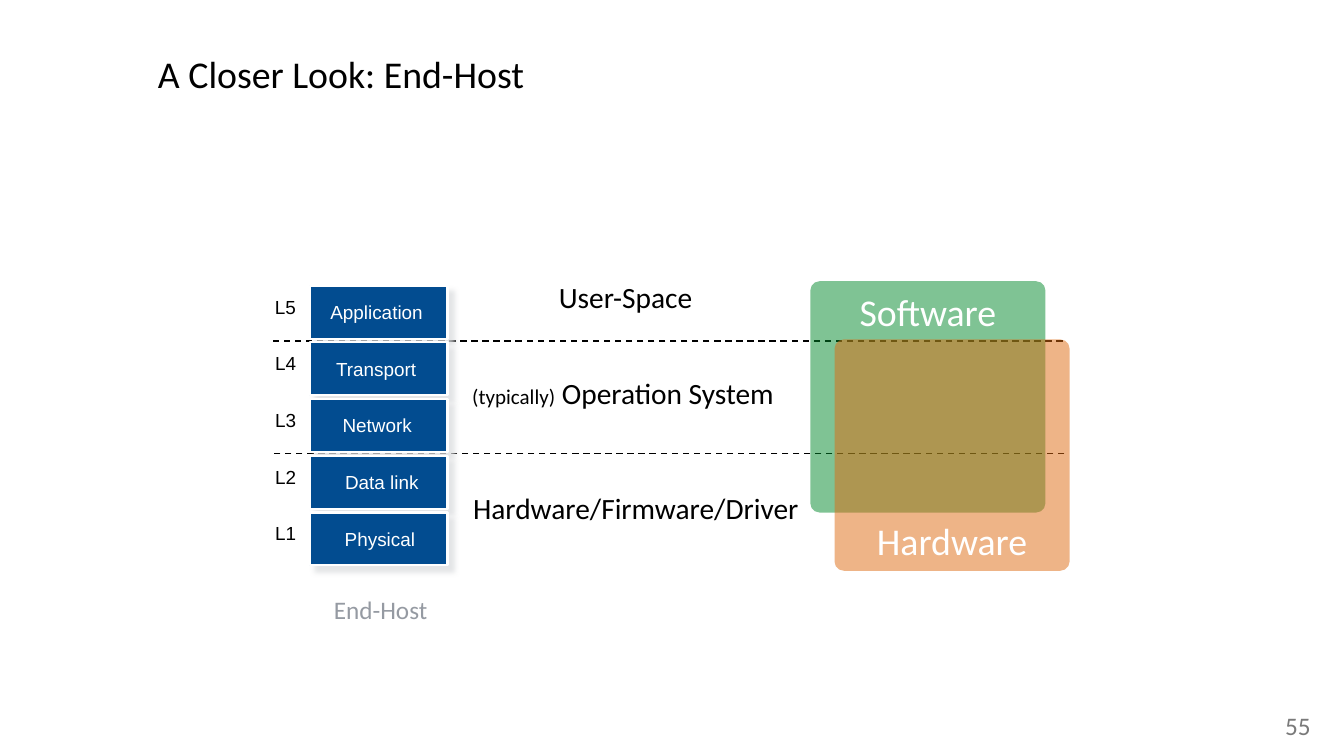
import pptx
import pptx.util
import pptx.dml.color
import pptx.enum.dml
import pptx.enum.shapes
import pptx.enum.text
import pptx.oxml
import pptx.oxml.ns

Inches = pptx.util.Inches
Pt = pptx.util.Pt
RGBColor = pptx.dml.color.RGBColor
ANCHOR = pptx.enum.text.MSO_ANCHOR
ALIGN = pptx.enum.text.PP_ALIGN
SHAPE = pptx.enum.shapes.MSO_SHAPE

BLACK = RGBColor(0x00, 0x00, 0x00)
WHITE = RGBColor(0xFF, 0xFF, 0xFF)
NUMBER_GRAY = RGBColor(0x7A, 0x7A, 0x7A)
CAPTION_GRAY = RGBColor(0x95, 0x9A, 0xA2)
LAYER_BLUE = RGBColor(0x02, 0x4C, 0x90)
SOFTWARE_GREEN = RGBColor(0x00, 0x88, 0x2B)
HARDWARE_ORANGE = RGBColor(0xDE, 0x6A, 0x10)
SHADOW_GRAY = RGBColor(0xDC, 0xDE, 0xE0)

LAYERS = [
    ("L5", 3.6, 0.39, "Application", 4.17, 1.68),
    ("L4", 3.58, 0.44, "Transport", 4.28, 1.45),
    ("L3", 3.58, 0.44, "Network", 4.38, 1.28),
    ("L2", 3.58, 0.44, "Data link", 4.41, 1.34),
    ("L1", 3.58, 0.44, "Physical", 4.41, 1.29),
]
LAYER_TOP = 3.78
LAYER_STEP = 0.75


def write_text(shape, runs, font, color, align=ALIGN.CENTER,
               anchor=ANCHOR.MIDDLE, insets=(0.06, 0.06, 0.06, 0.06), wrap=False):
    frame = shape.text_frame
    frame.word_wrap = wrap
    frame.vertical_anchor = anchor
    frame.margin_left, frame.margin_top, frame.margin_right, frame.margin_bottom = map(Inches, insets)
    paragraph = frame.paragraphs[0]
    paragraph.alignment = align
    for text, size in runs:
        run = paragraph.add_run()
        run.text = text
        run.font.size = Pt(size)
        run.font.name = font
        run.font.color.rgb = color
    return paragraph


def add_label(slide, box, runs, font="Calibri", color=BLACK, **layout):
    label = slide.shapes.add_textbox(*map(Inches, box))
    return write_text(label, runs, font, color, **layout)


def add_boundary(slide, left, y):
    boundary = slide.shapes.add_connector(
        pptx.enum.shapes.MSO_CONNECTOR.STRAIGHT,
        Inches(left + 10.48), Inches(y), Inches(left), Inches(y))
    boundary.line.color.rgb = BLACK
    boundary.line.width = Pt(1.5)
    boundary.line.dash_style = pptx.enum.dml.MSO_LINE.DASH
    pptx.oxml.ns.qn("a:effectLst")
    boundary._element.spPr.append(pptx.oxml.parse_xml(
        f'<a:effectLst {pptx.oxml.ns.nsdecls("a")}/>'))


def add_drop_shadow(shape):
    shape._element.spPr.append(pptx.oxml.parse_xml(
        f'<a:effectLst {pptx.oxml.ns.nsdecls("a")}>'
        f'<a:outerShdw blurRad="{Pt(5)}" dist="{Pt(8)}" dir="2700000" algn="tl" rotWithShape="0">'
        f'<a:srgbClr val="{SHADOW_GRAY}"><a:alpha val="75000"/></a:srgbClr>'
        '</a:outerShdw></a:effectLst>'))


def add_layer(slide, top, level, level_left, level_width, name, name_left, name_width):
    layer = slide.shapes.add_shape(
        SHAPE.RECTANGLE, Inches(4.1), Inches(top), Inches(1.82), Inches(0.7))
    layer.fill.solid()
    layer.fill.fore_color.rgb = LAYER_BLUE
    layer.line.color.rgb = WHITE
    layer.line.width = Pt(2)
    add_drop_shadow(layer)
    add_label(slide, (name_left, top + 0.06, name_width, 0.57), [(name, 18)],
              "Arial", WHITE, insets=(0.04, 0.04, 0.1, 0.04))
    number = add_label(slide, (level_left, top + 0.14, level_width, 0.47), [(level, 18)],
                       "Arial", anchor=ANCHOR.TOP, insets=(0.03, 0.03, 0.07, 0.03))
    number.line_spacing = 0.85


def add_domain(slide, left, top, name, color, anchor):
    domain = slide.shapes.add_shape(
        SHAPE.ROUNDED_RECTANGLE, Inches(left), Inches(top), Inches(3.11), Inches(3.06))
    domain.adjustments[0] = 0.04
    domain.shadow.inherit = False
    domain.fill.solid()
    domain.fill.fore_color.rgb = color
    tint = domain._element.spPr.find(".//" + pptx.oxml.ns.qn("a:srgbClr"))
    tint.append(pptx.oxml.parse_xml(
        f'<a:alpha {pptx.oxml.ns.nsdecls("a")} val="50000"/>'))
    domain.line.fill.background()
    write_text(domain, [(name, 36)], "Calibri", WHITE, anchor=anchor, wrap=True)


def main():
    presentation = pptx.Presentation()
    presentation.slide_width = Inches(17.78)
    presentation.slide_height = Inches(10)
    slide = presentation.slides.add_slide(presentation.slide_layouts[6])

    add_label(slide, (16.94, 9.39, 0.46, 0.5), [("55", 24)], color=NUMBER_GRAY,
              anchor=ANCHOR.TOP, insets=(0, 0, 0, 0))
    add_label(slide, (1.74, 0, 14.31, 1.85), [("A Closer Look: End-Host", 36)],
              align=ALIGN.LEFT, insets=(0.35, 0.08, 0, 0), wrap=True)

    add_boundary(slide, 3.58, 4.51)
    add_boundary(slide, 3.6, 6)
    for index, layer in enumerate(LAYERS):
        add_layer(slide, LAYER_TOP + index * LAYER_STEP, *layer)

    add_label(slide, (4.35, 7.8, 1.37, 0.52), [("End-Host", 24)], color=CAPTION_GRAY)
    add_label(slide, (7.32, 3.63, 1.91, 0.58), [("User-Space", 28)])
    add_label(slide, (6.15, 4.91, 4.18, 0.58),
              [("(typically)", 20), (" Operation System", 28)])
    add_label(slide, (6.09, 6.43, 4.64, 0.58), [("Hardware/Firmware/Driver", 28)])

    add_domain(slide, 10.72, 3.72, "Software", SOFTWARE_GREEN, ANCHOR.TOP)
    add_domain(slide, 11.04, 4.49, "Hardware", HARDWARE_ORANGE, ANCHOR.BOTTOM)

    presentation.save("out.pptx")


if __name__ == "__main__":
    main()
